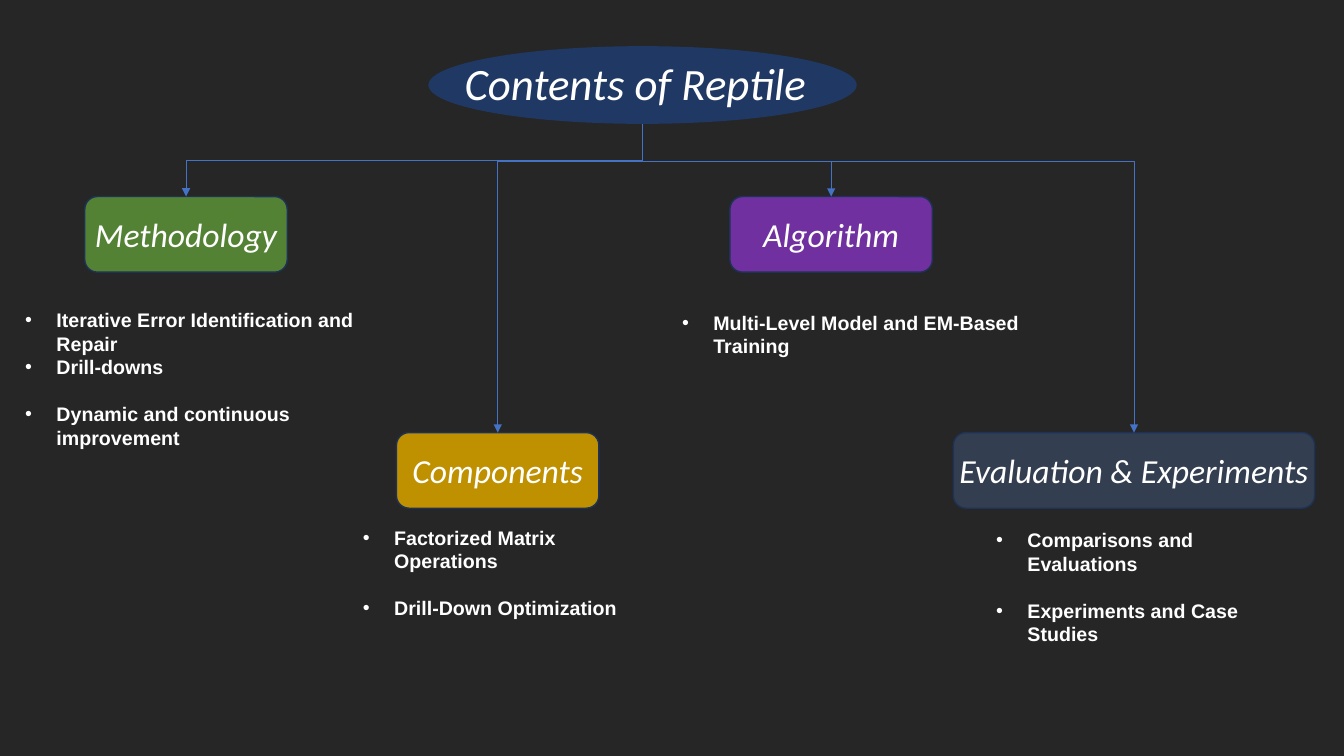
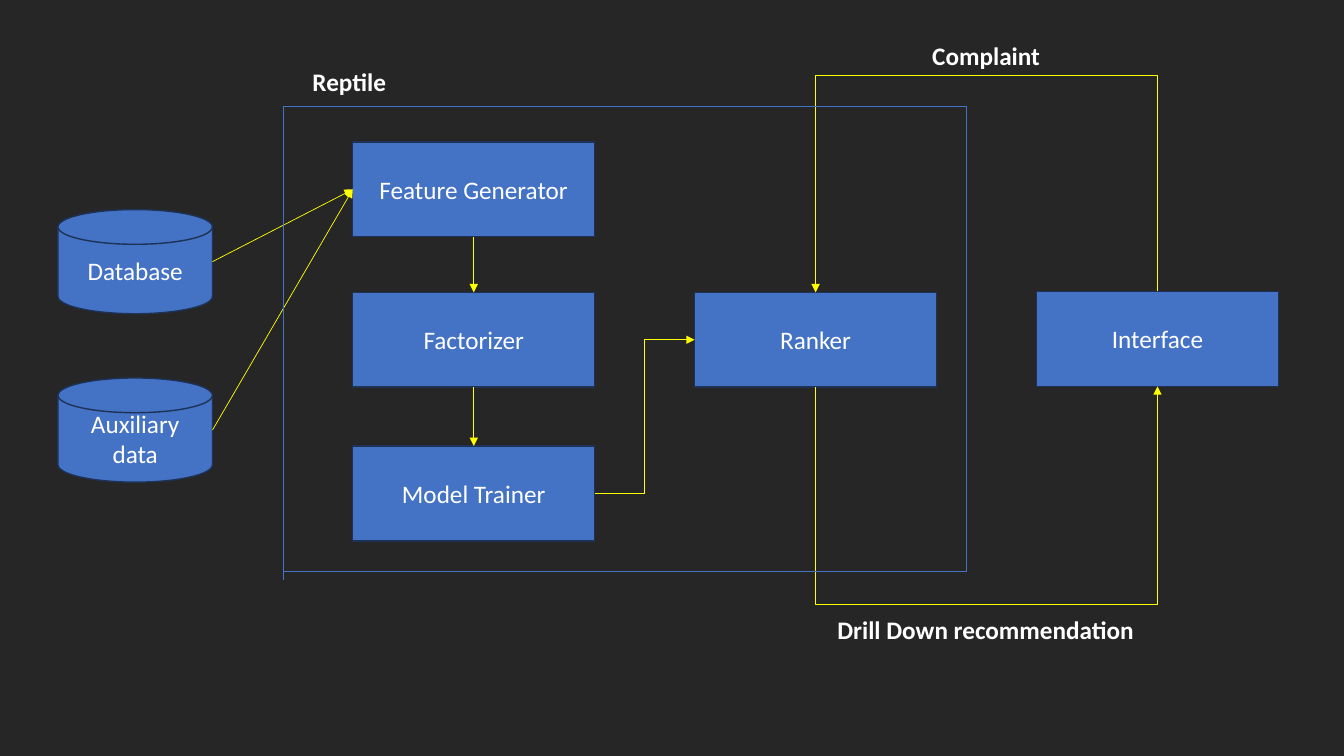
from lxml import etree
from pptx import Presentation
from pptx.dml.color import RGBColor
from pptx.enum.shapes import MSO_CONNECTOR as Cxn, MSO_SHAPE as Shape
from pptx.enum.text import MSO_ANCHOR as Anchor, MSO_AUTO_SIZE as Fit, PP_ALIGN as Align
from pptx.oxml.ns import qn
from pptx.util import Inches, Pt

COLUMNS, ROWS = 160, 90
TOP, LEFT, BOTTOM, RIGHT = range(4)
ROUND_SITE = 4


def rgb(value):
    return RGBColor.from_string(value)


class Deck:
    BACK, WHITE, BLUE, EDGE, YELLOW = "262626", "FFFFFF", "4472C4", "1E3256", "FFFF00"
    HEAD, BODY = "Calibri", "Arial"

    def __init__(self):
        self.prs = Presentation()
        self.prs.slide_width, self.prs.slide_height = Inches(13.33), Inches(7.5)
        fill = self.prs.slide_master.background.fill
        fill.solid()
        fill.fore_color.rgb = rgb(self.BACK)
        self.s = None

    def slide(self, layout):
        layouts = self.prs.slide_layouts
        self.s = self.prs.slides.add_slide(layouts.get_by_name(layout))

    def x(self, columns):
        return round(self.prs.slide_width * columns / COLUMNS)

    def y(self, rows):
        return round(self.prs.slide_height * rows / ROWS)

    def area(self, left, top, width, height):
        return self.x(left), self.y(top), self.x(width), self.y(height)

    def place(self, sp, *box):
        sp.left, sp.top, sp.width, sp.height = self.area(*box)

    def set_text(self, sp, text, size, font=HEAD, align=Align.LEFT, anchor=Anchor.TOP,
                 wrap=True, bold=False, italic=False):
        tf = sp.text_frame
        tf.text = text
        tf.auto_size, tf.word_wrap, tf.vertical_anchor = Fit.NONE, wrap, anchor
        for p in tf.paragraphs:
            p.alignment = align
            p.space_before = Pt(0)
            for r in p.runs:
                r.font.name, r.font.size = font, Pt(size)
                r.font.bold, r.font.italic = bold, italic
                r.font.color.rgb = rgb(self.WHITE)
        return tf

    def title(self, text, box, size, **style):
        sp = self.s.shapes.title
        self.place(sp, *box)
        self.set_text(sp, text, size, wrap=False, **style)
        return sp

    def label(self, text, *box):
        sp = self.s.shapes.add_textbox(*self.area(*box))
        self.set_text(sp, text, 18, wrap=False, bold=True)

    def bullets(self, index, items, box, gaps):
        sp = self.s.placeholders[index]
        self.place(sp, *box)
        tf = self.set_text(sp, "\n".join(items), 14, self.BODY, bold=True)
        for p, gap in zip(tf.paragraphs, gaps):
            p.space_after = Pt(gap)
            pPr = p._p.get_or_add_pPr()
            pPr.set("marL", str(Inches(0.31)))
            pPr.set("indent", str(-Inches(0.31)))
            etree.SubElement(pPr, qn("a:buFont")).set("typeface", self.BODY)
            etree.SubElement(pPr, qn("a:buChar")).set("char", "•")

    def shape(self, kind, box, fill=BLUE, edge=EDGE):
        sp = self.s.shapes.add_shape(kind, *self.area(*box))
        sp.shadow.inherit = False
        sp.fill.solid()
        sp.fill.fore_color.rgb = rgb(fill)
        if edge:
            sp.line.color.rgb = rgb(edge)
            sp.line.width = Pt(1)
        else:
            sp.line.fill.background()
        return sp

    def node(self, kind, text, box, fill=BLUE, size=18, wrap=True, italic=False):
        sp = self.shape(kind, box, fill)
        self.set_text(sp, text, size, align=Align.CENTER, anchor=Anchor.MIDDLE,
                      wrap=wrap, italic=italic)
        return sp

    def stroke(self, cxn, color, arrow=False):
        cxn.line.color.rgb = rgb(color)
        cxn.line.width = Pt(0.5)
        if arrow:
            ln = cxn.line._get_or_add_ln()
            etree.SubElement(ln, qn("a:tailEnd")).set("type", "triangle")
        etree.SubElement(cxn._element.spPr, qn("a:effectLst"))

    def line(self, x1, y1, x2, y2):
        cxn = self.s.shapes.add_connector(
            Cxn.STRAIGHT, self.x(x1), self.y(y1), self.x(x2), self.y(y2))
        self.stroke(cxn, self.BLUE)

    def arrow(self, start, out, end, into, color=YELLOW, kind=Cxn.STRAIGHT, bend=None):
        cxn = self.s.shapes.add_connector(kind, 0, 0, 0, 0)
        cxn.begin_connect(start, out)
        cxn.end_connect(end, into)
        if start.auto_shape_type in (Shape.OVAL, Shape.FLOWCHART_MAGNETIC_DISK):
            cxn._element.find(".//" + qn("a:stCxn")).set("idx", str(ROUND_SITE))
        if bend is not None:
            self.turn(cxn, self.y(bend))
        self.stroke(cxn, color, arrow=True)

    def turn(self, cxn, bend):
        x1, y1, x2, y2 = cxn.begin_x, cxn.begin_y, cxn.end_x, cxn.end_y
        dx, dy = x2 - x1, y2 - y1
        width, height = abs(dy), abs(dx)
        cxn.left, cxn.top = (x1 + x2 - width) // 2, (y1 + y2 - height) // 2
        cxn.width, cxn.height = width, height
        xfrm = cxn._element.spPr.find(qn("a:xfrm"))
        xfrm.set("rot", "5400000")
        xfrm.set("flipH", str(int(dy < 0)))
        xfrm.set("flipV", str(int(dx > 0)))
        guides = cxn._element.spPr.find(qn("a:prstGeom")).get_or_add_avLst()
        guide = etree.SubElement(guides, qn("a:gd"))
        guide.set("name", "adj1")
        guide.set("fmla", f"val {round((bend - y1) / dy * 100000)}")


def contents(d):
    d.slide("Comparison")
    title = d.title("Contents of Reptile", (54.1, 6, 44.8, 7.7), 32, italic=True)
    oval = d.shape(Shape.OVAL, (51, 5.5, 51, 9.25), "203864", None)
    title.element.addprevious(oval.element)
    upper, lower, narrow, wide = 23.4, 51.5, 24.1, 43
    topics = [
        ("Methodology", "548235", 10.1, upper, narrow, (1.8, 36.1, 44.5, 15), (0, 16.5, 0),
         ["Iterative Error Identification and Repair", "Drill-downs",
          "Dynamic and continuous improvement"]),
        ("Components", "BF9000", 47.2, lower, narrow, (42, 62, 34.6, 12.5), (16.5, 0),
         ["Factorized Matrix Operations", "Drill-Down Optimization"]),
        ("Algorithm", "7030A0", 86.9, upper, narrow, (80, 36.4, 47, 6.9), (0,),
         ["Multi-Level Model and EM-Based Training"]),
        ("Evaluation & Experiments", "333F50", 113.5, lower, wide,
         (117.4, 62.3, 35.4, 12.5), (16.5, 0),
         ["Comparisons and Evaluations", "Experiments and Case Studies"]),
    ]
    for i, (name, fill, left, top, width, box, gaps, items) in enumerate(topics, 1):
        node = d.node(Shape.ROUNDED_RECTANGLE, name, (left, top, width, 9), fill,
                      size=24, wrap=False, italic=True)
        d.arrow(oval, BOTTOM, node, TOP, d.BLUE, Cxn.ELBOW, bend=19.15)
        d.bullets(i, items, box, gaps)


def architecture(d):
    d.slide("Title Only")
    d.title("Reptile", (36, 7.3, 11.3, 4.8), 18, bold=True)
    d.label("Complaint", 109.8, 4.2, 15.4, 4.8)
    d.label("Drill Down recommendation", 98.5, 72.5, 38, 4.8)

    disks = [d.node(Shape.FLOWCHART_MAGNETIC_DISK, name, (6.9, top, 18.4, 12.4))
             for name, top in (("Database", 24.95), ("Auxiliary data", 45))]
    features, factorizer, trainer, ranker, interface = [
        d.node(Shape.RECTANGLE, name, (left, top, 28.8, 11.3))
        for name, left, top in (
            ("Feature Generator", 42, 16.9), ("Factorizer", 42, 34.8),
            ("Model Trainer", 42, 53.1), ("Ranker", 82.7, 34.8),
            ("Interface", 123.4, 34.7))]

    for disk in disks:
        d.arrow(disk, RIGHT, features, LEFT)
    d.arrow(features, BOTTOM, factorizer, TOP)
    d.arrow(factorizer, BOTTOM, trainer, TOP)
    d.arrow(trainer, RIGHT, ranker, LEFT, kind=Cxn.ELBOW)
    d.arrow(ranker, BOTTOM, interface, BOTTOM, kind=Cxn.ELBOW, bend=72.1)
    d.arrow(interface, TOP, ranker, TOP, kind=Cxn.ELBOW, bend=8.8)

    left, top, right, bottom = 33.7, 12.7, 115.1, 68
    for ends in ((left, top, right, top), (right, bottom, right, top),
                 (right, bottom, left, bottom), (left, top, left, bottom + 1.1)):
        d.line(*ends)


def main():
    d = Deck()
    contents(d)
    architecture(d)
    d.prs.save("out.pptx")


if __name__ == "__main__":
    main()
